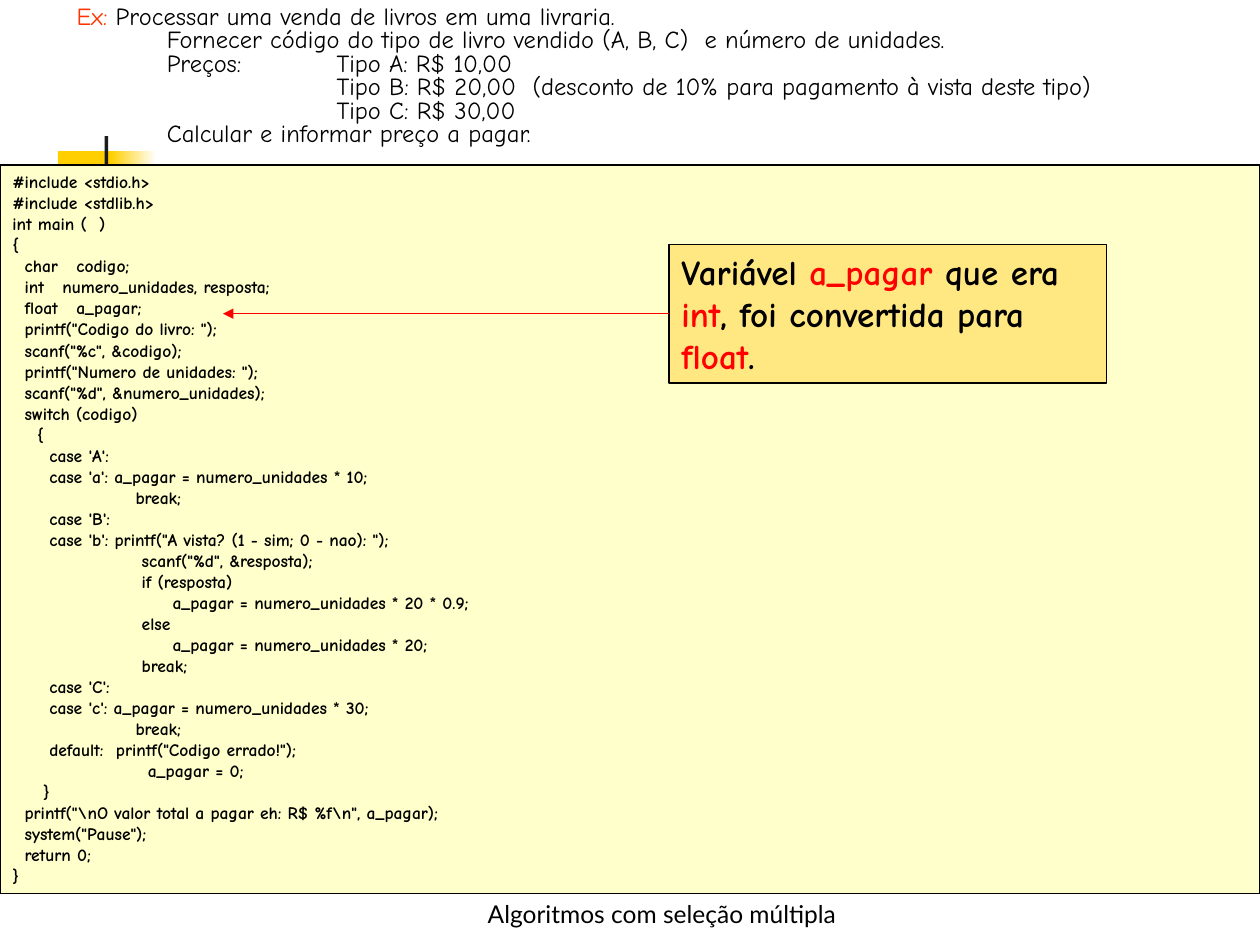
from lxml import etree
from pptx import Presentation
from pptx.dml.color import RGBColor
from pptx.enum.shapes import MSO_CONNECTOR, MSO_SHAPE
from pptx.enum.text import MSO_ANCHOR, PP_ALIGN
from pptx.oxml.ns import qn
from pptx.util import Pt

RECTANGLE, STRAIGHT = MSO_SHAPE.RECTANGLE, MSO_CONNECTOR.STRAIGHT
TOP, BOTTOM = MSO_ANCHOR.TOP, MSO_ANCHOR.BOTTOM
LEFT, CENTER = PP_ALIGN.LEFT, PP_ALIGN.CENTER
BLANK_LAYOUT, LEFT_SIDE = 6, 1

COLORS = {
    "black": "000000", "white": "FFFFFF", "red": "FF0000", "orange": "FF3300",
    "gold": "FFCF01", "bar": "1C1C1C", "code": "FFFFCC", "callout": "FFE781",
}

SPACE_WIDTH = 3.52  # one leading space of 10 pt code
HEADER_STOPS = (51.5, 148.5)
NAME_STOPS = {"char": 36.6, "int": 28.6, "float": 36.6}

HEADER = [
    [("Ex:", "orange"), (" Processar uma venda de livros em uma livraria.", "black")],
    "\tFornecer código do tipo de livro vendido (A, B, C)  e número de unidades.",
    "\tPreços:\tTipo A: R$ 10,00",
    "\t\tTipo B: R$ 20,00  (desconto de 10% para pagamento à vista deste tipo)",
    "\t\tTipo C: R$ 30,00",
    "\tCalcular e informar preço a pagar.",
]

CALLOUT = [
    ("Variável ", "black"), ("a_pagar", "red"), (" que era ", "black"),
    ("int", "red"), (", foi convertida para ", "black"),
    ("float", "red"), (".", "black"),
]

INPUT_CODE = r"""#include <stdio.h>
#include <stdlib.h>
int main (  )
{
  char   codigo;
  int   numero_unidades, resposta;
  float   a_pagar;
  printf("Codigo do livro: ");
  scanf("%c", &codigo);
  printf("Numero de unidades: ");
  scanf("%d", &numero_unidades);"""

SWITCH_CODE = r"""  switch (codigo)
    {
      case 'A':
      case 'a': a_pagar = numero_unidades * 10;
                    break;
      case 'B':
      case 'b': printf("A vista? (1 - sim; 0 - nao): ");
                     scanf("%d", &resposta);
                     if (resposta)
                          a_pagar = numero_unidades * 20 * 0.9;
                     else
                          a_pagar = numero_unidades * 20;
                     break;"""

OUTPUT_CODE = r"""      case 'C':
      case 'c': a_pagar = numero_unidades * 30;
                    break;
      default:  printf("Codigo errado!");
                      a_pagar = 0;
     }
  printf("\nO valor total a pagar eh: R$ %f\n", a_pagar);
  system("Pause");
  return 0;
}"""


class SlideBuilder:
    font_name = "Comic Neue"

    def __init__(self, slide):
        self.slide = slide

    def color(self, name):
        return RGBColor.from_string(COLORS[name])

    def rectangle(self, left, top, width, height, fill, line=None):
        box = self.slide.shapes.add_shape(
            RECTANGLE, Pt(left), Pt(top), Pt(width), Pt(height))
        box.shadow.inherit = False
        box.fill.solid()
        box.fill.fore_color.rgb = self.color(fill)
        if line:
            box.line.color.rgb = self.color(line)
            box.line.width = Pt(0.75)
        else:
            box.line.fill.background()
        return box

    def fade(self, box, start, end, angle):
        box.fill.gradient()
        box.fill.gradient_angle = angle
        for stop, name, position in zip(box.fill.gradient_stops, (start, end), (0, 1)):
            stop.color.rgb = self.color(name)
            stop.position = position

    def text_box(self, left, top, width, height):
        return self.slide.shapes.add_textbox(
            Pt(left), Pt(top), Pt(width), Pt(height))

    def frame(self, box, anchor=TOP):
        frame = box.text_frame
        settings = {
            "word_wrap": True, "vertical_anchor": anchor,
            "margin_left": Pt(7.2), "margin_right": Pt(7.2),
            "margin_top": Pt(3.6), "margin_bottom": Pt(3.6),
        }
        for name, value in settings.items():
            setattr(frame, name, value)
        return frame

    def paragraph(self, frame, content, size, bold=False, font=None,
                  indent=0, stops=(), **layout):
        first = frame.paragraphs[0]
        para = frame.add_paragraph() if first.runs else first
        for name, value in {"alignment": LEFT, **layout}.items():
            setattr(para, name, value)
        properties = para._p.get_or_add_pPr()
        if indent:
            properties.set("marL", str(int(Pt(indent))))
        if stops:
            tabs = etree.SubElement(properties, qn("a:tabLst"))
            for stop in stops:
                etree.SubElement(tabs, qn("a:tab"), pos=str(int(Pt(stop))), algn="l")
        spans = [(content, "black")] if isinstance(content, str) else content
        for text, color in spans:
            span = para.add_run()
            span.text = text
            for name, value in {"name": font or self.font_name,
                                "size": Pt(size), "bold": bold}.items():
                setattr(span.font, name, value)
            span.font.color.rgb = self.color(color)

    def arrow(self, source, side, end_x, end_y, color):
        line = self.slide.shapes.add_connector(
            STRAIGHT, source.left, Pt(end_y), Pt(end_x), Pt(end_y))
        line.begin_connect(source, side)
        line.line.color.rgb = self.color(color)
        line.line.width = Pt(0.75)
        properties = line._element.spPr
        outline = properties.find(qn("a:ln"))
        etree.SubElement(outline, qn("a:tailEnd"), type="triangle")
        etree.SubElement(properties, qn("a:effectLst"))


def main():
    deck = Presentation()
    deck.slide_width, deck.slide_height = Pt(720), Pt(540)
    page = SlideBuilder(deck.slides.add_slide(deck.slide_layouts[BLANK_LAYOUT]))

    # Corner decoration
    page.rectangle(33.12, 86.4, 34.56, 37.44, "gold")
    fading = page.rectangle(63.36, 86.4, 25.92, 37.44, "gold")
    page.fade(fading, "white", "gold", 180)
    page.rectangle(59.76, 77.76, 2.16, 82.8, "bar")

    # Program listing
    listing = page.frame(page.rectangle(0, 94.32, 720, 416.16, "code", "black"))
    for part in (INPUT_CODE, SWITCH_CODE, OUTPUT_CODE):
        for line in part.splitlines():
            text = line.lstrip()
            indent = (len(line) - len(text)) * SPACE_WIDTH
            keyword, gap, name = text.partition("   ")
            if gap:
                page.paragraph(listing, f"\t{keyword}\t{name}", 10, True,
                               stops=(indent, NAME_STOPS[keyword]))
            else:
                page.paragraph(listing, text, 10, True, indent=indent)

    # Callout and its arrow
    callout = page.rectangle(382.32, 139.68, 249.84, 79.2, "callout", "black")
    page.paragraph(page.frame(callout), CALLOUT, 20, True, space_before=Pt(12.5))
    page.arrow(callout, LEFT_SIDE, 127.44, 179.28, "red")

    # Exercise statement
    statement = page.frame(page.text_box(36.72, 0, 646.56, 87.84))
    for content in HEADER:
        page.paragraph(statement, content, 14, stops=HEADER_STOPS, line_spacing=0.8)

    # Footer
    footer = page.frame(page.text_box(264.24, 498.24, 228.24, 36), BOTTOM)
    page.paragraph(footer, "Algoritmos com seleção múltipla", 14, font="Lato",
                   alignment=CENTER)

    deck.save("out.pptx")


if __name__ == "__main__":
    main()
